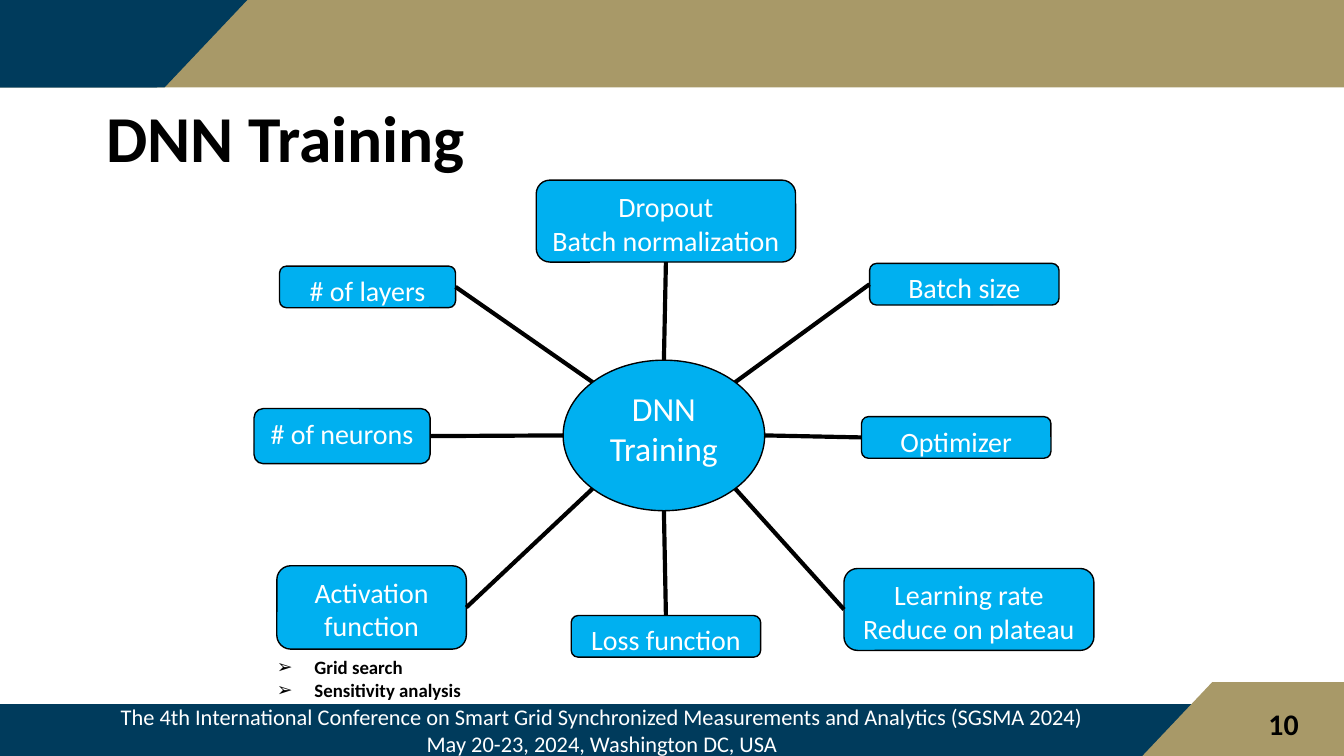
from math import cos, radians, sin

from lxml.etree import SubElement
from pptx import Presentation
from pptx.dml.color import RGBColor
from pptx.enum.shapes import MSO_CONNECTOR, MSO_SHAPE
from pptx.enum.text import MSO_ANCHOR, MSO_AUTO_SIZE, PP_ALIGN
from pptx.oxml.ns import qn
from pptx.util import Inches, Pt

GOLD = RGBColor(0xA8, 0x99, 0x68)
NAVY = RGBColor(0x00, 0x3B, 0x5C)
SKY = RGBColor(0x00, 0xB0, 0xF0)
BLACK = RGBColor(0x00, 0x00, 0x00)
WHITE = RGBColor(0xFF, 0xFF, 0xFF)

COLUMNS, ROWS = 100, 56.25
SLANT = 0.946
TOP, LEFT, BOTTOM, RIGHT = range(4)

HUB = (41.9, 26.8, 15, 11.2)
TOPICS = [
    ("Optimizer", (64.1, 31, 14.1, 3.1), LEFT),
    ("Learning rate\nReduce on plateau", (62.8, 42.3, 18.6, 6.1), LEFT),
    ("Loss function", (42.5, 45.8, 14.1, 3.1), TOP),
    ("Activation function", (20.6, 42.1, 14.1, 6.2), RIGHT),
    ("# of neurons", (18.9, 30.4, 13.1, 4.1), RIGHT),
    ("# of layers", (20.8, 19.8, 13.1, 3.1), RIGHT),
    ("Dropout\nBatch normalization", (39.9, 13.4, 19.3, 6.1), BOTTOM),
    ("Batch size", (64.7, 19.6, 14.1, 3.1), LEFT),
]


class TrainingSlide:
    """Draws styled elements on one slide, measured in tenth-inch grid cells."""

    font = "Calibri"

    def __init__(self, presentation):
        self.cell = presentation.slide_width / COLUMNS
        self.slide = presentation.slides.add_slide(presentation.slide_layouts[1])
        self.shapes = self.slide.shapes

    def grid(self, *cells):
        return [round(cell * self.cell) for cell in cells]

    def set_text(self, holder, text, size, color, bold=False, align=PP_ALIGN.LEFT):
        frame = holder.text_frame
        frame.text = text
        frame.word_wrap = True
        frame.auto_size = MSO_AUTO_SIZE.NONE
        for paragraph in frame.paragraphs:
            paragraph.alignment = align
            paragraph.space_before = Pt(0)
            for run in paragraph.runs:
                run.font.name = self.font
                run.font.size = Pt(size)
                run.font.bold = bold
                run.font.color.rgb = color
        return frame

    def place(self, holder, box):
        holder.left, holder.top, holder.width, holder.height = self.grid(*box)

    def title(self, text, box):
        heading = self.shapes.title
        self.place(heading, box)
        frame = self.set_text(heading, text, 35.1, BLACK, bold=True)
        frame.vertical_anchor = MSO_ANCHOR.MIDDLE
        frame.paragraphs[0].line_spacing = 0.8

    def bullets(self, items, box):
        methods = self.slide.placeholders[1]
        self.place(methods, box)
        frame = self.set_text(methods, "\n".join(items), 10.1, BLACK, bold=True)
        for paragraph in frame.paragraphs:
            properties = paragraph._p.get_or_add_pPr()
            properties.set("marL", str(Inches(0.28)))
            properties.set("indent", str(-Inches(0.28)))
            SubElement(properties, qn("a:buChar"), char="➢")

    def band(self, kind, box, color):
        band = self.shapes.add_shape(kind, *self.grid(*box))
        band.shadow.inherit = False
        band.fill.solid()
        band.fill.fore_color.rgb = color
        band.line.fill.background()
        if kind == MSO_SHAPE.PARALLELOGRAM:
            band.adjustments[0] = SLANT
        return band

    def footer(self, text, box):
        strip = self.band(MSO_SHAPE.RECTANGLE, box, NAVY)
        frame = self.set_text(strip, text, 12, WHITE, align=PP_ALIGN.CENTER)
        frame.vertical_anchor = MSO_ANCHOR.MIDDLE

    def page_number(self, text, box):
        number = self.shapes.add_textbox(*self.grid(*box))
        self.set_text(number, text, 16, BLACK, bold=True)

    def node(self, kind, text, box, size):
        node = self.band(kind, box, SKY)
        node.line.color.rgb = BLACK
        node.line.width = Pt(0.75)
        frame = self.set_text(node, text, size, WHITE, align=PP_ALIGN.CENTER)
        frame.vertical_anchor = MSO_ANCHOR.TOP
        frame.margin_left = frame.margin_right = Inches(0.07)
        frame.margin_top = frame.margin_bottom = Inches(0.04)
        return node

    def spoke(self, hub, angle, topic, side):
        x = round(hub.left + hub.width / 2 * (1 + cos(radians(angle))))
        y = round(hub.top + hub.height / 2 * (1 + sin(radians(angle))))
        spoke = self.shapes.add_connector(MSO_CONNECTOR.STRAIGHT, x, y, x, y)
        spoke.end_connect(topic, side)
        spoke.line.color.rgb = BLACK
        spoke.line.width = Pt(2.25)
        SubElement(spoke._element.spPr, qn("a:effectLst"))


def main():
    presentation = Presentation()
    presentation.slide_width = Inches(COLUMNS / 10)
    presentation.slide_height = Inches(ROWS / 10)
    page = TrainingSlide(presentation)

    page.band(MSO_SHAPE.RECTANGLE, (0, 0, COLUMNS, 6.5), GOLD)
    page.band(MSO_SHAPE.PARALLELOGRAM, (0, 0, 18.4, 6.5), NAVY)
    page.band(MSO_SHAPE.RECTANGLE, (0, 0, 11.7, 6.5), NAVY)
    page.footer(
        "The 4th International Conference on Smart Grid Synchronized "
        "Measurements and Analytics (SGSMA 2024)\n"
        "May 20-23, 2024, Washington DC, USA",
        (0, 52.4, 89.6, 3.85),
    )
    page.band(MSO_SHAPE.PARALLELOGRAM, (85, 50.75, 14.4, 5.5), GOLD)
    page.band(MSO_SHAPE.RECTANGLE, (90.8, 50.75, 9.2, 5.5), GOLD)
    page.page_number("10", (93.4, 52, 6.6, 4.1))

    page.title("DNN Training", (6.9, 7.6, 86.2, 6.2))
    page.bullets(["Grid search", "Sensitivity analysis"], (19.6, 48.3, 24.4, 4.4))

    hub = page.node(MSO_SHAPE.OVAL, "DNN Training", HUB, 18)
    for index, (text, box, side) in enumerate(TOPICS):
        topic = page.node(MSO_SHAPE.ROUNDED_RECTANGLE, text, box, 15)
        page.spoke(hub, index * 360 / len(TOPICS), topic, side)

    presentation.save("out.pptx")


if __name__ == "__main__":
    main()
